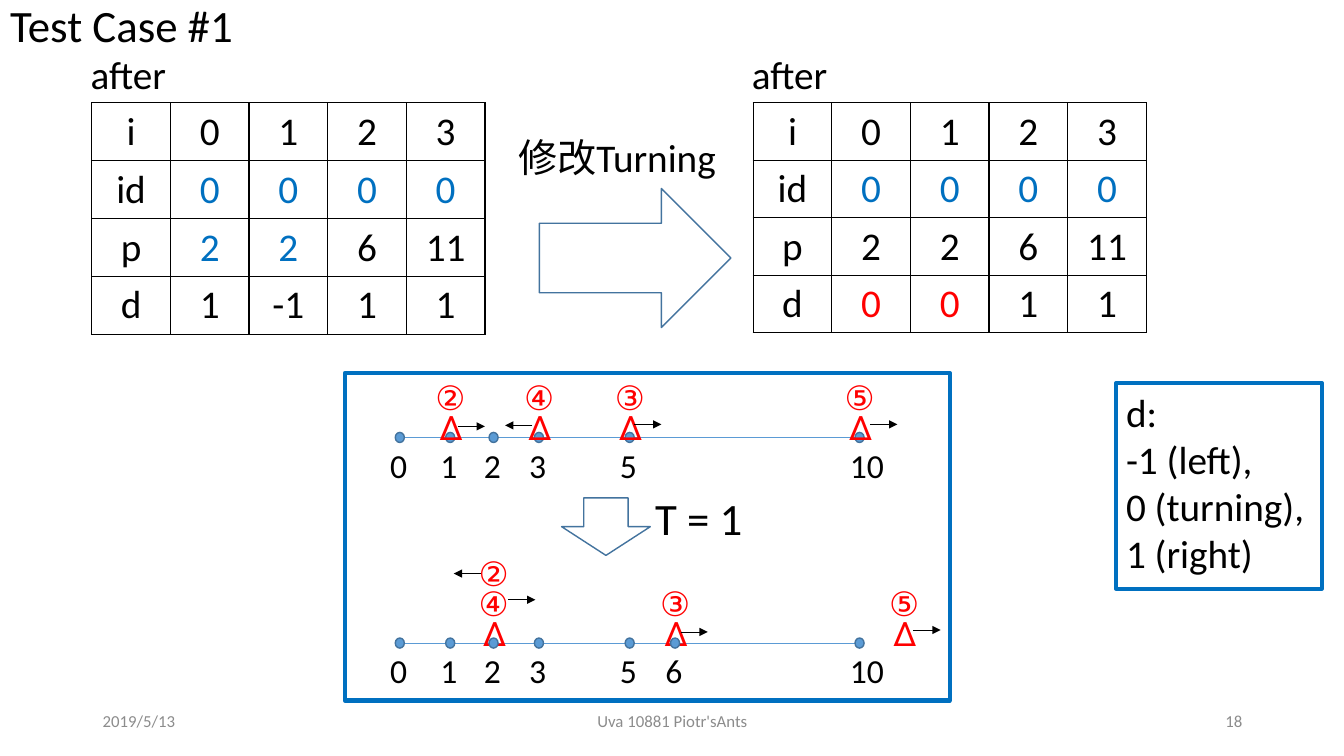
from dataclasses import dataclass

from lxml import etree
from pptx import Presentation
from pptx.dml.color import RGBColor
from pptx.enum.shapes import MSO_CONNECTOR, MSO_SHAPE
from pptx.enum.text import MSO_ANCHOR, MSO_AUTO_SIZE, PP_ALIGN
from pptx.oxml import parse_xml
from pptx.oxml.ns import nsdecls, qn
from pptx.util import Inches, Pt


@dataclass(frozen=True)
class Theme:
    """Colours, fonts and type sizes of the slide."""
    black: str = "000000"
    grey: str = "8C8C8C"
    blue: str = "0070C0"
    red: str = "FF0000"
    dot: str = "5B9BD5"
    edge: str = "43739E"
    latin: str = "Calibri"
    cjk: str = "Noto Sans CJK SC"
    marks: str = "Roboto"
    title: int = 32
    body: int = 28
    label: int = 24
    footer: int = 12


T = Theme()

TITLE = "Test Case #1"
HEADER = ["i", "0", "1", "2", "3"]
IDS = ["id", "0", "0", "0", "0"]
# left, row height, rows, colours by (row, column)
BLUE_IDS = {(1, c): T.blue for c in range(1, 5)}
TABLES = [
    (0.91, 0.575, [HEADER, IDS, ["p", "2", "2", "6", "11"], ["d", "1", "-1", "1", "1"]],
     {**BLUE_IDS, (2, 1): T.blue, (2, 2): T.blue}),
    (7.47, 0.57, [HEADER, IDS, ["p", "2", "2", "6", "11"], ["d", "0", "0", "1", "1"]],
     {**BLUE_IDS, (3, 1): T.red, (3, 2): T.red}),
]
LEGEND = ["d:", "-1 (left),", "0 (turning),", "1 (right)"]
FOOTERS = [
    ("2019/5/13", 0.92, 3, PP_ALIGN.LEFT),
    ("Uva 10881 Piotr'sAnts", 4.42, 4.5, PP_ALIGN.CENTER),
    ("18", 9.42, 3, PP_ALIGN.RIGHT),
]

# Left edge of the dot at each position of the pole
DOT_X = {0: 3.92, 1: 4.42, 2: 4.85, 3: 5.3, 5: 6.2, 6: 6.65, 10: 8.48, 11: 8.92}
DOT_W, DOT_H, STEP = 0.09, 0.1, 0.29
# Ants: number, position, level above the dot, arrow start x and y, direction
POLES = [
    dict(top=4.29, stops=[0, 1, 2, 3, 5, 10], ants_on_top=True, ants=[
        ("②", 1, 2, 4.54, 4.23, 1), ("④", 3, 2, 5.28, 4.22, -1),
        ("③", 5, 2, 6.29, 4.21, 1), ("⑤", 10, 2, 8.63, 4.21, 1)]),
    dict(top=6.33, stops=[0, 1, 2, 3, 5, 6, 10], ants_on_top=False, ants=[
        ("②", 2, 3, 4.77, 5.69, -1), ("④", 2, 2, 5.04, 5.95, 1),
        ("③", 6, 2, 6.75, 6.27, 1), ("⑤", 11, 2, 9.06, 6.25, 1)]),
]


def box(x, y, w, h):
    """Turn four lengths in inches into a placement."""
    return [Inches(v) for v in (x, y, w, h)]


def write(tf, lines, size=T.body, color=T.black, font=T.latin,
          align=PP_ALIGN.LEFT, anchor=MSO_ANCHOR.TOP):
    """Fill a text frame; a line is a string or a list of (text, font) runs."""
    tf.word_wrap = True
    tf.vertical_anchor = anchor
    for i, line in enumerate([lines] if isinstance(lines, str) else lines):
        p = tf.paragraphs[0] if i == 0 else tf.add_paragraph()
        p.alignment = align
        for text, face in ([(line, font)] if isinstance(line, str) else line):
            r = p.add_run()
            r.text = text
            r.font.name, r.font.size = face, Pt(size)
            r.font.color.rgb = RGBColor.from_string(color)
            ea = etree.SubElement(r.font._element, qn("a:ea"))
            ea.set("typeface", face)


def add_text(s, lines, x, y, w=0.7, h=0.5, **fmt):
    """Add a text box."""
    write(s.shapes.add_textbox(*box(x, y, w, h)).text_frame, lines, **fmt)


def add_shape(s, kind, x, y, w, h, line, width=1, fill=None):
    """Add an outlined preset shape, filled if a colour is given."""
    sp = s.shapes.add_shape(kind, *box(x, y, w, h))
    sp.shadow.inherit = False
    if fill:
        sp.fill.solid()
        sp.fill.fore_color.rgb = RGBColor.from_string(fill)
    else:
        sp.fill.background()
    sp.line.color.rgb = RGBColor.from_string(line)
    sp.line.width = Pt(width)
    return sp


def add_line(s, x1, y1, x2, y2, color, arrow=False):
    """Add a thin line, with an arrowhead at its end if asked."""
    cn = s.shapes.add_connector(MSO_CONNECTOR.STRAIGHT, *box(x1, y1, x2, y2))
    cn.line.color.rgb = RGBColor.from_string(color)
    cn.line.width = Pt(0.5)
    if arrow:
        etree.SubElement(cn.line._get_or_add_ln(), qn("a:tailEnd")).set("type", "triangle")
    etree.SubElement(cn._element.spPr, qn("a:effectLst"))


def add_grid(s, x, row_h, rows, colors):
    """Add a table with thin black borders and no fill."""
    y, col_w = 1.02, 0.78
    n = len(rows[0])
    table = s.shapes.add_table(len(rows), n, *box(x, y, col_w * n, row_h * len(rows))).table
    table.first_row = table.horz_banding = False
    for r, row in enumerate(rows):
        for c, text in enumerate(row):
            cell = table.cell(r, c)
            write(cell.text_frame, text, color=colors.get((r, c), T.black),
                  align=PP_ALIGN.CENTER)
            tcPr = cell._tc.get_or_add_tcPr()
            for side in ("lnL", "lnR", "lnT", "lnB"):
                tcPr.append(parse_xml(
                    f'<a:{side} {nsdecls("a")} w="12700"><a:solidFill>'
                    f'<a:srgbClr val="{T.black}"/></a:solidFill></a:{side}>'))
            cell.fill.background()


def add_dots(s, top, stops):
    """Add the dots of a pole with their position labels."""
    for n in stops:
        x = DOT_X[n]
        add_shape(s, MSO_SHAPE.OVAL, x, top, DOT_W, DOT_H, T.edge, fill=T.dot)
        add_text(s, str(n), x - 0.15, top + 0.07, size=T.label)


def add_ants(s, top, ants):
    """Add the ants of a pole: bodies, numbers and direction arrows."""
    fmt = dict(size=T.label, color=T.red, font=T.marks)
    for n in dict.fromkeys(ant[1] for ant in ants):
        add_text(s, "Δ", DOT_X[n] - 0.16, top - 0.3, **fmt)
    for number, n, level, x, y, way in ants:
        add_text(s, number, DOT_X[n] - 0.2, top - 0.02 - level * STEP, **fmt)
        add_line(s, x, y, x + way * 0.27, y, T.black, arrow=True)


def add_pole(s, top, stops, ants, ants_on_top):
    """Add one pole with its dots and ants in drawing order."""
    mid = top + DOT_H / 2
    add_line(s, DOT_X[0], mid, DOT_X[10] + DOT_W, mid, T.dot)
    parts = [(add_dots, stops), (add_ants, ants)]
    for draw, content in parts if ants_on_top else reversed(parts):
        draw(s, top, content)


prs = Presentation()
prs.slide_width, prs.slide_height = Inches(13.33), Inches(7.5)
s = prs.slides.add_slide(prs.slide_layouts[5])

title = s.shapes.title
title.left, title.top, title.width, title.height = box(0, -0.07, 2.54, 0.64)
write(title.text_frame, TITLE, size=T.title)
title.text_frame.auto_size = MSO_AUTO_SIZE.NONE

for text, x, w, align in FOOTERS:
    add_text(s, text, x, 6.95, w, 0.4, size=T.footer, color=T.grey,
             align=align, anchor=MSO_ANCHOR.MIDDLE)

for x, row_h, rows, colors in TABLES:
    add_grid(s, x, row_h, rows, colors)
    add_text(s, "after", x - 0.11, 0.45, 1.31, 0.57)

add_text(s, [[("修改", T.cjk), ("Turning", T.latin)]], 5.04, 1.27, 2.4, 0.57)
add_shape(s, MSO_SHAPE.RIGHT_ARROW, 5.35, 1.87, 1.9, 1.38, T.edge)

for pole in POLES:
    add_pole(s, **pole)
add_text(s, "T = 1", 6.4, 4.82, 1.2, 0.64, size=T.title)
add_shape(s, MSO_SHAPE.DOWN_ARROW, 5.57, 4.94, 0.88, 0.57, T.edge)
add_shape(s, MSO_SHAPE.RECTANGLE, 3.42, 3.7, 6, 3.25, T.blue, width=3)

# Slightly wider than its text, so that each value keeps to one line
legend = add_shape(s, MSO_SHAPE.RECTANGLE, 11.07, 3.8, 2.04, 2.04, T.blue, width=3)
write(legend.text_frame, LEGEND)
legend.text_frame.margin_right = Inches(0.03)

prs.save("out.pptx")
